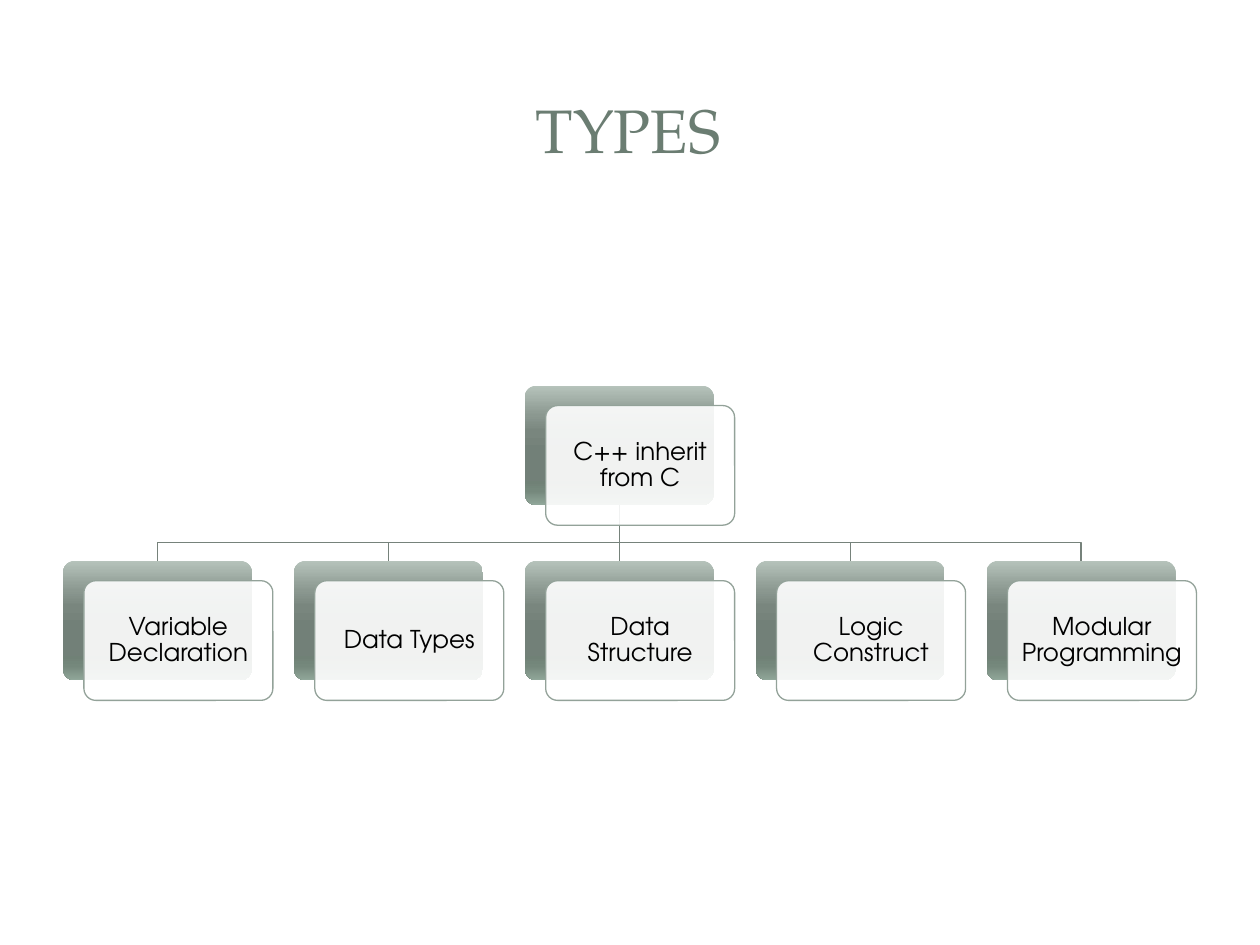
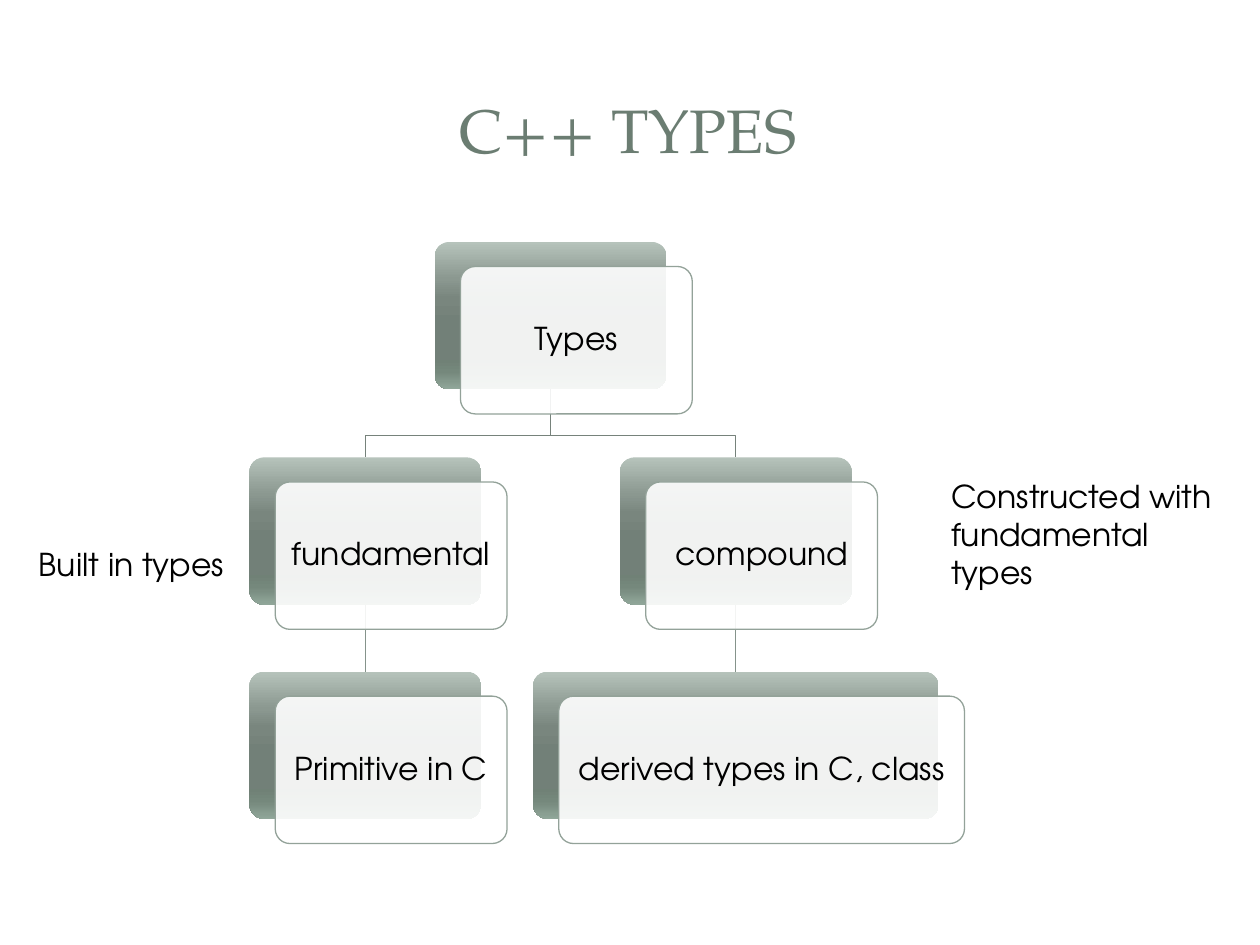
from lxml import etree
from pptx import Presentation
from pptx.dml.color import RGBColor
from pptx.enum.shapes import MSO_CONNECTOR, MSO_SHAPE
from pptx.enum.text import MSO_ANCHOR, MSO_AUTO_SIZE, PP_ALIGN
from pptx.oxml.ns import qn
from pptx.util import Inches, Pt

ROUNDED, STRAIGHT = MSO_SHAPE.ROUNDED_RECTANGLE, MSO_CONNECTOR.STRAIGHT
CENTER, LEFT = PP_ALIGN.CENTER, PP_ALIGN.LEFT
MIDDLE, TOP = MSO_ANCHOR.MIDDLE, MSO_ANCHOR.TOP
NO_FIT, GROW = MSO_AUTO_SIZE.NONE, MSO_AUTO_SIZE.SHAPE_TO_FIT_TEXT

TITLE_FONT, BODY_FONT = "TeX Gyre Pagella", "TeX Gyre Adventor"
TITLE_COLOR, TEXT, WHITE, BORDER = "6B7D72", "000000", "FFFFFF", "93A299"
LINK, LOWER_LINK = "76827B", "85938B"
GRADIENT = [(0, "B6C3BB"), (25, "8B9890"), (38, "79867E"), (55, "728078"),
            (80, "708176"), (88, "75887C"), (100, "91A79A")]

INHERITED = ["Variable Declaration", "Data Types", "Data Structure",
             "Logic Construct", "Modular Programming"]
FIRST_X, STEP = 0.5, 7.33 / 4

SLIDES = [
    {"title": "TYPES", "size": 14, "width": 1.5, "height": 0.95, "inset": 0.06,
     "rows": [3.06, 4.45],
     "cards": [("C++ inherit from C", FIRST_X + 2 * STEP, 0, None)]
              + [(text, FIRST_X + i * STEP, 1, 0) for i, text in enumerate(INHERITED)],
     "wide": {}, "notes": []},
    {"title": "C++ TYPES", "size": 18, "width": 1.84, "height": 1.17, "inset": 0.07,
     "rows": [1.92, 3.63, 5.33],
     "cards": [("Types", 3.45, 0, None),
               ("fundamental", 1.98, 1, 0),
               ("Primitive in C", 1.98, 2, 1),
               ("compound", 4.92, 1, 0),
               ("derived types in C, class", 4.23, 2, 3)],
     "wide": {"derived types in C, class": 3.22},
     "notes": [("Built in types", 0.21, 4.28, 1.75, 0.4),
               ("Constructed with fundamental types", 7.45, 3.74, 2.42, 1.01)]},
]


def rgb(value):
    return RGBColor.from_string(value)


def write(shape, text, font, size, color, align=CENTER, anchor=MIDDLE, fit=NO_FIT):
    tf = shape.text_frame
    tf.word_wrap, tf.auto_size, tf.vertical_anchor = True, fit, anchor
    p = tf.paragraphs[0]
    p.alignment = align
    r = p.add_run()
    r.text = text
    r.font.name, r.font.size = font, Pt(size)
    r.font.color.rgb = rgb(color)
    return tf


def add_rounded(s, x, y, w, h):
    sp = s.shapes.add_shape(ROUNDED, Inches(x), Inches(y), Inches(w), Inches(h))
    sp.shadow.inherit = False
    sp.adjustments[0] = 0.1
    return sp


def add_card(s, text, x, y, w, h, size, inset):
    back = add_rounded(s, x, y, w, h)
    back.line.fill.background()
    back.fill.gradient()
    back.fill.gradient_angle = 270
    stops = back.element.spPr.find(".//" + qn("a:gsLst"))
    for stop in list(stops):
        stops.remove(stop)
    for position, color in GRADIENT:
        stop = etree.SubElement(stops, qn("a:gs"), pos=str(position * 1000))
        etree.SubElement(stop, qn("a:srgbClr"), val=color)

    front = add_rounded(s, x + 0.175 * h, y + 0.167 * h, w, h)
    front.fill.solid()
    front.fill.fore_color.rgb = rgb(WHITE)
    color = front.element.spPr.find(qn("a:solidFill")).find(qn("a:srgbClr"))
    etree.SubElement(color, qn("a:alpha"), val="90000")
    front.line.color.rgb = rgb(BORDER)
    front.line.width = Pt(0.75)
    tf = write(front, text, BODY_FONT, size, TEXT)
    tf.margin_left = tf.margin_right = tf.margin_top = tf.margin_bottom = Inches(inset)
    tf.paragraphs[0].line_spacing = 0.9


def add_link(s, x1, y1, x2, y2, bend, color):
    left, top, right, bottom = Inches(x1), Inches(y1), Inches(x2), Inches(y2)
    if abs(x1 - x2) < 0.02:
        link = s.shapes.add_connector(STRAIGHT, left, top, left, bottom)
        etree.SubElement(link.element.spPr, qn("a:effectLst"))
    else:
        middle = Inches(y2 - bend)
        builder = s.shapes.build_freeform(left, top)
        builder.add_line_segments([(left, middle), (right, middle), (right, bottom)],
                                  close=False)
        link = builder.convert_to_shape()
        link.fill.background()
        link.shadow.inherit = False
    link.line.color.rgb = rgb(color)
    link.line.width = Pt(0.75)


def add_tree(s, data):
    h = data["height"]
    boxes = [(text, x, data["rows"][row], data["wide"].get(text, data["width"]))
             for text, x, row, parent in data["cards"]]
    for (text, x, y, w), (_, _, row, parent) in zip(boxes, data["cards"]):
        if parent is not None:
            _, px, py, pw = boxes[parent]
            add_link(s, px + pw / 2, py + h, x + w / 2, y, 0.15 * h,
                     LINK if row == 1 else LOWER_LINK)
    for text, x, y, w in boxes:
        add_card(s, text, x, y, w, h, data["size"], data["inset"])


prs = Presentation()
prs.slide_width, prs.slide_height = Inches(10), Inches(7.5)
for data in SLIDES:
    s = prs.slides.add_slide(prs.slide_layouts[5])
    title = s.shapes.title
    title.left, title.top = Inches(0.47), Inches(0.45)
    title.width, title.height = Inches(9.03), Inches(1.14)
    write(title, data["title"], TITLE_FONT, 35, TITLE_COLOR)
    add_tree(s, data)
    for text, *place in data["notes"]:
        box = s.shapes.add_textbox(*map(Inches, place))
        write(box, text, BODY_FONT, data["size"], TEXT, LEFT, TOP, GROW)
prs.save("out.pptx")
